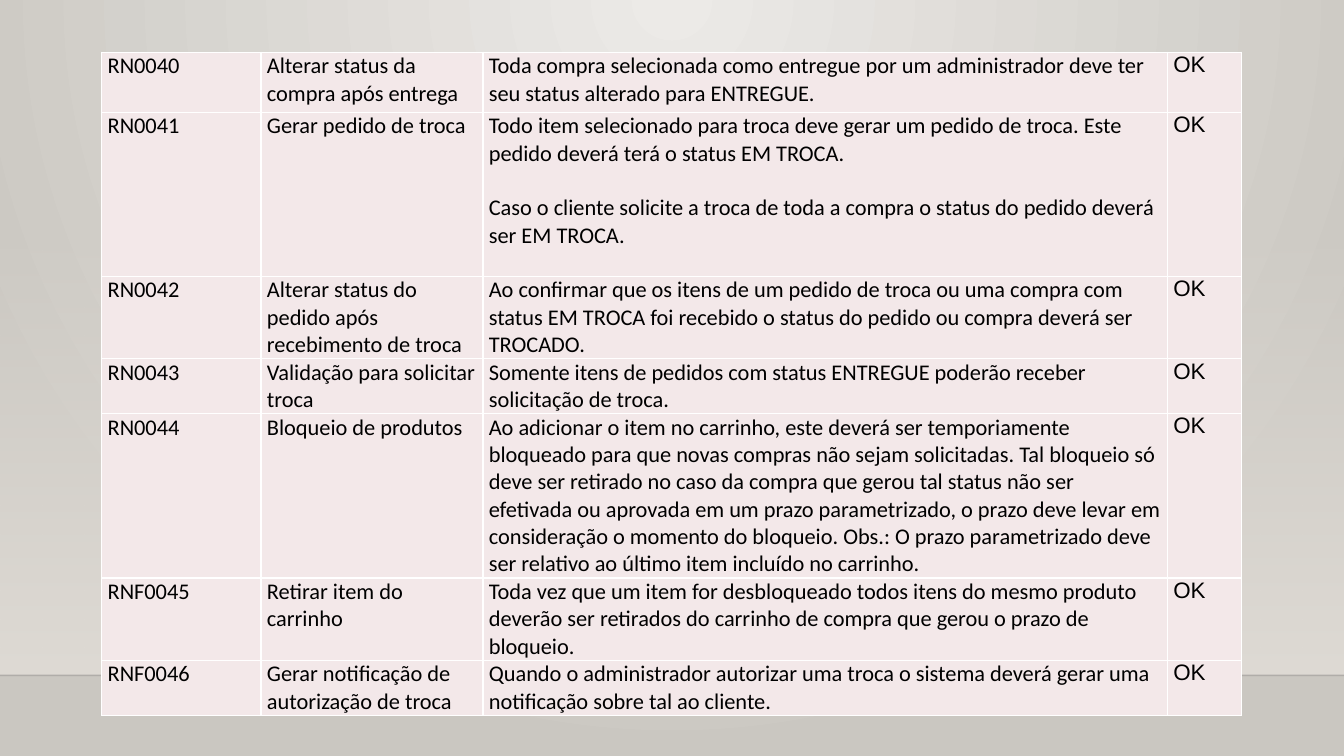
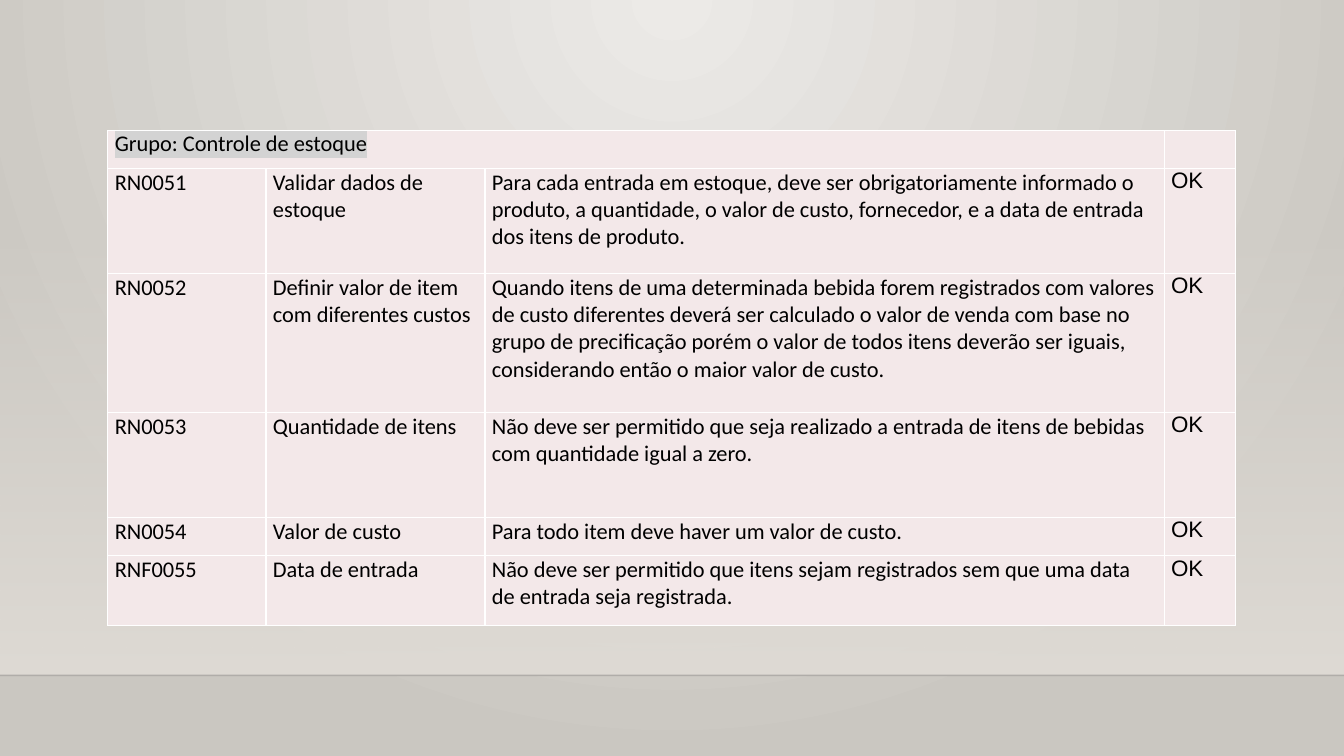
from dataclasses import dataclass

from lxml import etree
from pptx import Presentation
from pptx import util as u
from pptx.dml import color
from pptx.enum import shapes
from pptx.oxml import ns

Pt = u.Pt


@dataclass(frozen=True)
class Theme:
    width: float = 960
    height: float = 540
    horizon: float = 482.4
    band_top: float = 159.1
    glow: str = "ECEAE7"
    stone: str = "CAC7C1"
    band: str = "DFDBD5"
    shadow: str = "000001"
    cell: str = "F3E8E9"
    border: str = "FFFFFF"
    ink: str = "000000"
    highlight: str = "D3D3D3"
    body_font: str = "Calibri"
    status_font: str = "Arial"
    body_size: float = 16
    blank_line: float = 19.5


@dataclass(frozen=True)
class Grid:
    left: float
    top: float
    inset: float
    columns: tuple
    rows: tuple


def rgb(value):
    return color.RGBColor.from_string(value)


def element(parent, tag, **attributes):
    child = etree.SubElement(parent, ns.qn(tag))
    for name, value in attributes.items():
        child.set(name, str(value))
    return child


def set_gradient(fill, stops, direction, **attributes):
    """Replace the fill's gradient; stops are (percent, colour, opacity)."""
    fill.gradient()
    gradient = fill._fill._gradFill
    for child in list(gradient):
        gradient.remove(child)
    stop_list = element(gradient, "a:gsLst")
    for position, value, opacity in stops:
        stop = element(stop_list, "a:gs", pos=position * 1000)
        tint = element(stop, "a:srgbClr", val=value)
        if opacity < 100:
            element(tint, "a:alpha", val=opacity * 1000)
    return element(gradient, direction, **attributes)


class Deck:
    def __init__(self, theme):
        self.theme = theme
        self.presentation = Presentation()
        self.presentation.slide_width = Pt(theme.width)
        self.presentation.slide_height = Pt(theme.height)
        self.slide = None

    def add_slide(self):
        self.slide = self.presentation.slides.add_slide(self.presentation.slide_layouts[6])
        self.background()
        self.band()
        self.horizon()

    def background(self):
        theme = self.theme
        stops = [(0, theme.glow, 100), (100, theme.stone, 100)]
        circle = set_gradient(self.slide.background.fill, stops, "a:path", path="circle")
        element(circle, "a:fillToRect", l=43000, t=0, r=43000, b=100000)

    def band(self):
        theme = self.theme
        shape = self.slide.shapes.add_shape(
            shapes.MSO_SHAPE.RECTANGLE, 0, Pt(theme.band_top),
            Pt(theme.width), Pt(theme.horizon - theme.band_top))
        shape.shadow.inherit = False
        shape.line.fill.background()
        stops = [(0, theme.band, 0), (100, theme.band, 100)]
        set_gradient(shape.fill, stops, "a:lin", ang=5400000, scaled=0)

    def horizon(self):
        theme = self.theme
        line = self.slide.shapes.add_connector(
            shapes.MSO_CONNECTOR.STRAIGHT, 0, Pt(theme.horizon),
            Pt(theme.width), Pt(theme.horizon))
        line.line.width = Pt(1)
        line.line.color.rgb = rgb(theme.shadow)
        tint = line.line._ln.find(".//" + ns.qn("a:srgbClr"))
        element(tint, "a:alpha", val=20000)
        element(line._element.spPr, "a:effectLst")

    def table(self, grid, requirements, heading=None):
        """Draw requirement rows, under a merged heading row if one is given."""
        table = self.slide.shapes.add_table(
            len(grid.rows), len(grid.columns), Pt(grid.left), Pt(grid.top),
            Pt(sum(grid.columns)), Pt(sum(grid.rows))).table
        table.first_row = table.horz_banding = False
        for column, width in zip(table.columns, grid.columns):
            column.width = Pt(width)
        for row, height in zip(table.rows, grid.rows):
            row.height = Pt(height)
            for cell in row.cells:
                self.style_cell(cell, grid.inset)
        first = 0
        if heading:
            table.cell(0, 0).merge(table.cell(0, 2))
            self.fill_text(table.cell(0, 0), heading, highlight=True)
            first = 1
        for index, (code, name, *description) in enumerate(requirements, first):
            self.fill_text(table.cell(index, 0), code)
            self.fill_text(table.cell(index, 1), name)
            self.fill_text(table.cell(index, 2), *description)
            self.fill_text(table.cell(index, 3), "OK", font=self.theme.status_font)

    def style_cell(self, cell, inset):
        cell.margin_left = cell.margin_right = Pt(inset)
        cell.margin_top = cell.margin_bottom = 0
        properties = cell._tc.get_or_add_tcPr()
        for side in "LRTB":
            line = element(properties, f"a:ln{side}", w=int(Pt(1)))
            element(element(line, "a:solidFill"), "a:srgbClr", val=self.theme.border)
        cell.fill.solid()
        cell.fill.fore_color.rgb = rgb(self.theme.cell)

    def fill_text(self, cell, *paragraphs, font=None, highlight=False):
        frame = cell.text_frame
        for index, content in enumerate(paragraphs):
            paragraph = frame.add_paragraph() if index else frame.paragraphs[0]
            if index:
                paragraph.space_before = Pt(self.theme.blank_line)
            run = paragraph.add_run()
            run.text = content
            run.font.size = Pt(self.theme.body_size)
            run.font.name = font or self.theme.body_font
            run.font.color.rgb = rgb(self.theme.ink)
            if highlight:
                properties = run._r.get_or_add_rPr()
                mark = element(properties, "a:highlight")
                element(mark, "a:srgbClr", val=self.theme.highlight)
                properties.find(ns.qn("a:solidFill")).addnext(mark)


ORDER_GRID = Grid(72.7, 37.4, 4.2, (113.8, 158.5, 488.9, 53.2),
                  (43, 117.2, 58.8, 39, 117.2, 59, 39))
STOCK_GRID = Grid(77, 93.2, 5, (113, 156.4, 485.2, 51.1),
                  (27.3, 75, 99.3, 75, 27.3, 50))

ORDER_RULES = [
    ("RN0040", "Alterar status da compra após entrega",
     "Toda compra selecionada como entregue por um administrador deve ter "
     "seu status alterado para ENTREGUE."),
    ("RN0041", "Gerar pedido de troca",
     "Todo item selecionado para troca deve gerar um pedido de troca. Este "
     "pedido deverá terá o status EM TROCA.",
     "Caso o cliente solicite a troca de toda a compra o status do pedido "
     "deverá ser EM TROCA."),
    ("RN0042", "Alterar status do pedido após recebimento de troca",
     "Ao confirmar que os itens de um pedido de troca ou uma compra com "
     "status EM TROCA foi recebido o status do pedido ou compra deverá ser "
     "TROCADO."),
    ("RN0043", "Validação para solicitar troca",
     "Somente itens de pedidos com status ENTREGUE poderão receber "
     "solicitação de troca."),
    ("RN0044", "Bloqueio de produtos",
     "Ao adicionar o item no carrinho, este deverá ser temporiamente "
     "bloqueado para que novas compras não sejam solicitadas. Tal bloqueio só "
     "deve ser retirado no caso da compra que gerou tal status não ser "
     "efetivada ou aprovada em um prazo parametrizado, o prazo deve levar em "
     "consideração o momento do bloqueio. Obs.: O prazo parametrizado deve "
     "ser relativo ao último item incluído no carrinho."),
    ("RNF0045", "Retirar item do carrinho",
     "Toda vez que um item for desbloqueado todos itens do mesmo produto "
     "deverão ser retirados do carrinho de compra que gerou o prazo de "
     "bloqueio."),
    ("RNF0046", "Gerar notificação de autorização de troca",
     "Quando o administrador autorizar uma troca o sistema deverá gerar uma "
     "notificação sobre tal ao cliente."),
]

STOCK_RULES = [
    ("RN0051", "Validar dados de estoque",
     "Para cada entrada em estoque, deve ser obrigatoriamente informado o "
     "produto, a quantidade, o valor de custo, fornecedor, e a data de entrada "
     "dos itens de produto."),
    ("RN0052", "Definir valor de item com diferentes custos",
     "Quando itens de uma determinada bebida forem registrados com valores "
     "de custo diferentes deverá ser calculado o valor de venda com base no "
     "grupo de precificação porém o valor de todos itens deverão ser iguais, "
     "considerando então o maior valor de custo."),
    ("RN0053", "Quantidade de itens",
     "Não deve ser permitido que seja realizado a entrada de itens de bebidas "
     "com quantidade igual a zero."),
    ("RN0054", "Valor de custo", "Para todo item deve haver um valor de custo."),
    ("RNF0055", "Data de entrada",
     "Não deve ser permitido que itens sejam registrados sem que uma data "
     "de entrada seja registrada."),
]


def main():
    deck = Deck(Theme())
    deck.add_slide()
    deck.table(ORDER_GRID, ORDER_RULES)
    deck.add_slide()
    deck.table(STOCK_GRID, STOCK_RULES, heading="Grupo: Controle de estoque")
    deck.presentation.save("out.pptx")


if __name__ == "__main__":
    main()
